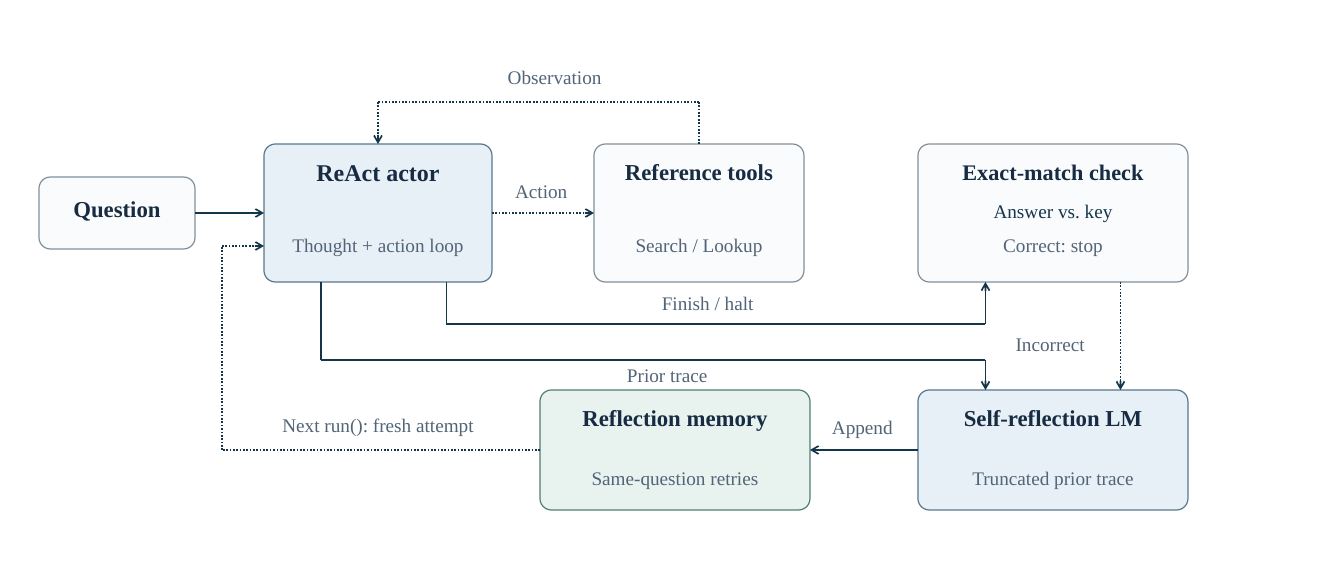
from itertools import pairwise

from lxml.etree import SubElement
from pptx import Presentation
from pptx.dml.color import RGBColor
from pptx.enum.dml import MSO_LINE
from pptx.enum.shapes import MSO_CONNECTOR, MSO_SHAPE
from pptx.enum.text import MSO_ANCHOR, PP_ALIGN
from pptx.oxml.ns import qn
from pptx.util import Cm, Pt

UNITS_PER_INCH = 48
SLIDE_SIZE = (1120, 480)
TOP, RIGHT, LEFT = 0, 3, 1
CORNER_RADIUS = 9.5
TEXT_INSET = 9
LABEL_HEIGHT = 20.6

NEUTRAL = ("FAFBFC", "839099")
BLUE = ("E8F0F7", "59778E")
GREEN = ("E8F3EF", "507E71")
FLOW_COLOR = "15354A"

HEADING = {"name": "Times New Roman", "size": Pt(28.5), "bold": True, "color": "172B42"}
LARGE_HEADING = HEADING | {"size": Pt(30)}
SMALL_HEADING = HEADING | {"size": Pt(27.8)}
CAPTION = {"name": "Times New Roman", "size": Pt(24), "bold": False, "color": "526477"}
DETAIL = CAPTION | {"color": FLOW_COLOR}

# box: left, top, width, height; lines: text, offset from box top, height, format
BOXES = {
    "question": ((32.5, 147.5, 130, 60), NEUTRAL, [("Question", 15.2, 22.6, HEADING)]),
    "actor": ((220, 120, 190, 115), BLUE, [
        ("ReAct actor", 11.6, 23.6, LARGE_HEADING),
        ("Thought + action loop", 74.4, 18.8, CAPTION)]),
    "tools": ((495, 120, 175, 115), NEUTRAL, [
        ("Reference tools", 11.6, 22.6, HEADING),
        ("Search / Lookup", 74.4, 18.8, CAPTION)]),
    "check": ((765, 120, 225, 115), NEUTRAL, [
        ("Exact-match check", 12, 21.6, SMALL_HEADING),
        ("Answer vs. key", 44.6, 21.6, DETAIL),
        ("Correct: stop", 74.4, 18.8, CAPTION)]),
    "reflection": ((765, 325, 225, 100), BLUE, [
        ("Self-reflection LM", 11.6, 22.6, HEADING),
        ("Truncated prior trace", 63.8, 18.8, CAPTION)]),
    "memory": ((450, 325, 225, 100), GREEN, [
        ("Reflection memory", 11.6, 22.6, HEADING),
        ("Same-question retries", 63.8, 18.8, CAPTION)]),
}

# points, dotted, joined start (box, side), joined end (box, side)
FLOWS = [
    ([(162.5, 177.5), (220, 177.5)], False, ("question", RIGHT), ("actor", LEFT)),
    ([(410, 177.5), (495, 177.5)], True, ("actor", RIGHT), ("tools", LEFT)),
    ([(582.5, 120), (582.5, 85), (315, 85), (315, 120)], True,
     ("tools", TOP), ("actor", TOP)),
    ([(372, 235), (372, 270), (821.25, 270), (821.25, 235)], False, None, None),
    ([(933.75, 235), (933.75, 325)], True, None, None),
    ([(267.5, 235), (267.5, 300), (821.25, 300), (821.25, 325)], False, None, None),
    ([(765, 375), (675, 375)], False, ("reflection", LEFT), ("memory", RIGHT)),
    ([(450, 375), (185, 375), (185, 205), (220, 205)], True, ("memory", LEFT), None),
]

# text, centre, top, width
LABELS = [
    ("Action", 451, 148.6, 52),
    ("Observation", 462.2, 53.8, 95),
    ("Finish / halt", 589.7, 242, 90),
    ("Incorrect", 875.2, 276.5, 70),
    ("Prior trace", 556, 302, 82),
    ("Append", 718.6, 345.6, 63),
    ("Next run(): fresh attempt", 315, 343.9, 180),
]


def units(*values):
    """Convert diagram units to slide lengths."""
    return [Cm(value * 2.54 / UNITS_PER_INCH) for value in values]


def rgb(color):
    return RGBColor.from_string(color)


def add_text(slide, box, text, text_format):
    frame = slide.shapes.add_textbox(*units(*box)).text_frame
    frame_format = {
        "word_wrap": False,
        "vertical_anchor": MSO_ANCHOR.MIDDLE,
        "margin_left": 0,
        "margin_right": 0,
        "margin_top": 0,
        "margin_bottom": 0,
    }
    for name, value in frame_format.items():
        setattr(frame, name, value)
    paragraph = frame.paragraphs[0]
    paragraph.alignment = PP_ALIGN.CENTER
    run = paragraph.add_run()
    run.text = text
    for name, value in text_format.items():
        if name == "color":
            run.font.color.rgb = rgb(value)
        else:
            setattr(run.font, name, value)


def add_box(slide, box, colors, lines):
    left, top, width, height = box
    shape = slide.shapes.add_shape(MSO_SHAPE.ROUNDED_RECTANGLE, *units(*box))
    shape.adjustments[0] = CORNER_RADIUS / min(width, height)
    shape.shadow.inherit = False
    fill, outline = colors
    shape.fill.solid()
    shape.fill.fore_color.rgb = rgb(fill)
    shape.line.color.rgb = rgb(outline)
    shape.line.width = Pt(1.5)
    for text, offset, line_height, text_format in lines:
        line_box = (left + TEXT_INSET, top + offset, width - 2 * TEXT_INSET, line_height)
        add_text(slide, line_box, text, text_format)
    return shape


def add_flow(slide, shapes, points, dotted, start, end):
    """Draw a run of straight connectors with an arrowhead on the last one."""
    connectors = []
    for begin, finish in pairwise(points):
        connector = slide.shapes.add_connector(
            MSO_CONNECTOR.STRAIGHT, *units(*begin, *finish))
        connector.line.color.rgb = rgb(FLOW_COLOR)
        connector.line.width = Pt(2.1)
        if dotted:
            connector.line.dash_style = MSO_LINE.ROUND_DOT
        SubElement(connector._element.spPr, qn("a:effectLst"))
        connectors.append(connector)
    if start:
        box_name, side = start
        connectors[0].begin_connect(shapes[box_name], side)
    if end:
        box_name, side = end
        connectors[-1].end_connect(shapes[box_name], side)
    arrowhead = SubElement(connectors[-1].line._get_or_add_ln(), qn("a:tailEnd"))
    for name, value in {"type": "arrow", "w": "lg", "len": "lg"}.items():
        arrowhead.set(name, value)


def add_label(slide, text, center, top, width):
    add_text(slide, (center - width / 2, top, width, LABEL_HEIGHT), text, CAPTION)


def main():
    presentation = Presentation()
    presentation.slide_width, presentation.slide_height = units(*SLIDE_SIZE)
    slide = presentation.slides.add_slide(presentation.slide_layouts[6])
    shapes = {name: add_box(slide, *parts) for name, parts in BOXES.items()}
    for flow in FLOWS:
        add_flow(slide, shapes, *flow)
    for label in LABELS:
        add_label(slide, *label)
    presentation.save("out.pptx")


if __name__ == "__main__":
    main()
